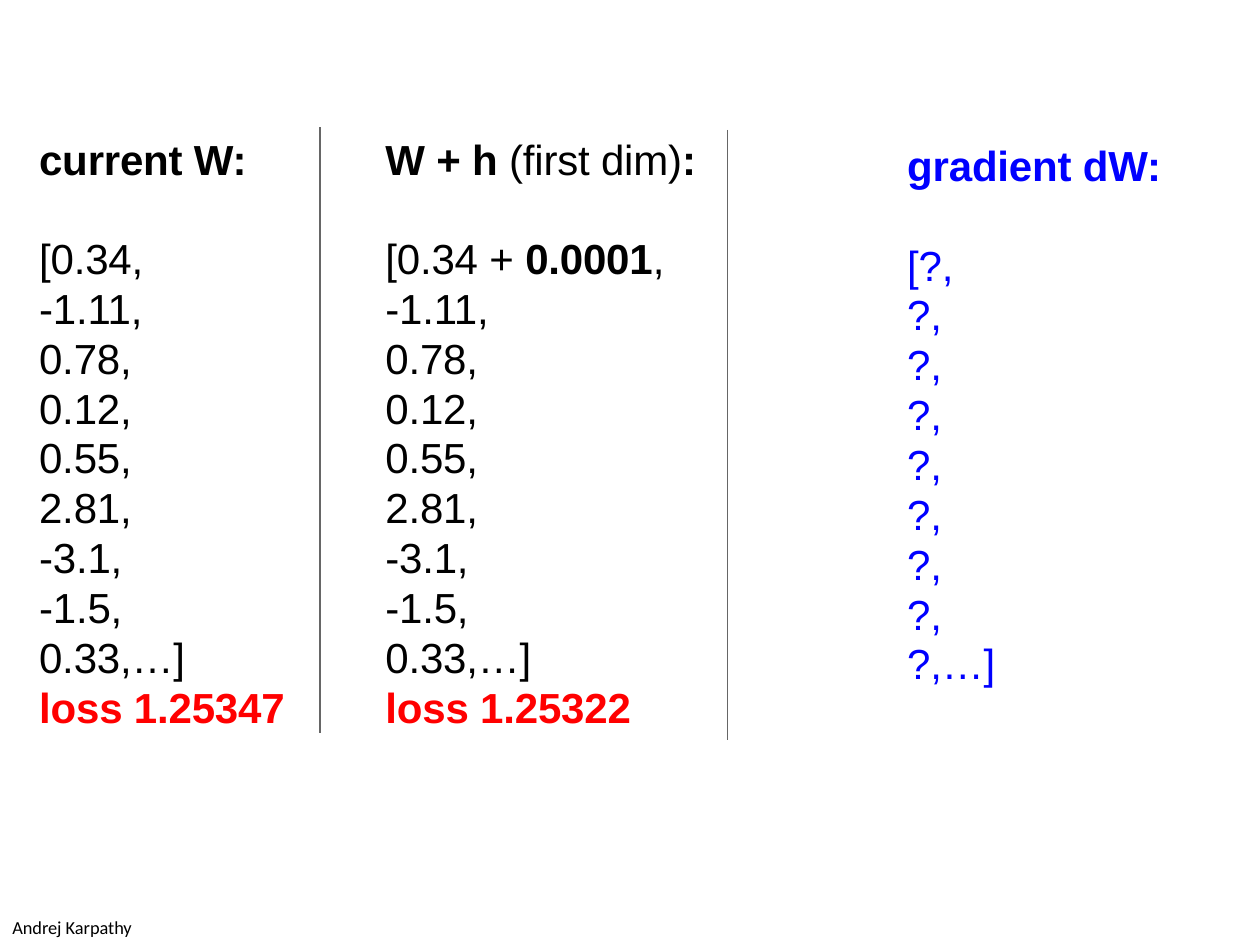
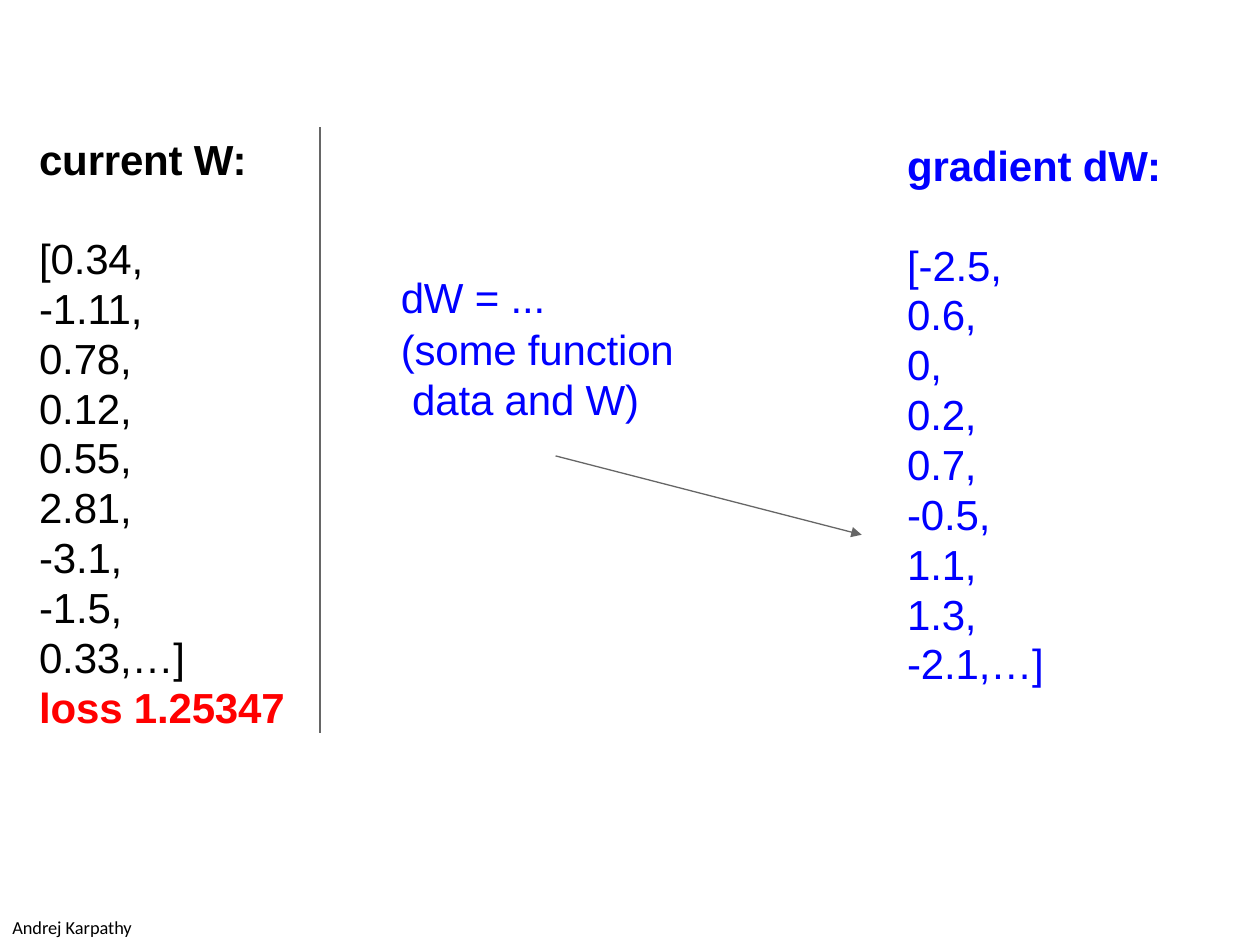
import lxml.etree
import pptx
import pptx.dml.color
import pptx.enum.shapes
import pptx.oxml.ns
import pptx.util
from pptx.util import Cm, Pt

BLACK = pptx.dml.color.RGBColor(0x00, 0x00, 0x00)
RED = pptx.dml.color.RGBColor(0xFF, 0x00, 0x00)
BLUE = pptx.dml.color.RGBColor(0x00, 0x00, 0xFF)
GRAY = pptx.dml.color.RGBColor(0x66, 0x66, 0x66)

HEAD_TOP, HEAD_HEIGHT, VALUES_DROP = 2.69, 1.04, 2.01
LINE_PITCH = 28.5
LEFT_W, LEFT_H, LEFT_GRADIENT = 0.79, 7.77, 18.29
GRADIENT_TOP = 2.82

WEIGHTS = ["-1.11,", "0.78,", "0.12,", "0.55,", "2.81,", "-3.1,", "-1.5,", "0.33,…]"]
UNKNOWN = ["[?,"] + ["?,"] * 7 + ["?,…]"]
GRADIENT = ["[-2.5,", "0.6,", "0,", "0.2,", "0.7,", "-0.5,", "1.1,", "1.3,", "-2.1,…]"]


def add_text(s, left, top, width, height, lines, color, bold=False,
             pitch=None, size=24, font="Arial", tracking="-10"):
    tf = s.shapes.add_textbox(Cm(left), Cm(top), Cm(width), Cm(height)).text_frame
    tf.word_wrap = True
    tf.margin_left = tf.margin_top = tf.margin_right = tf.margin_bottom = 0
    for i, line in enumerate(lines):
        p = tf.add_paragraph() if i else tf.paragraphs[0]
        p.font.name = font
        p.font.size = Pt(size)
        if pitch:
            p.line_spacing = Pt(pitch)
        for text, run_bold in [(line, bold)] if isinstance(line, str) else line:
            r = p.add_run()
            r.text = text
            r.font.bold = run_bold
            r.font.color.rgb = RED if text.startswith("loss") else color
            r.font.name = font
            r.font.size = Pt(size)
            r._r.get_or_add_rPr().set("spc", tracking)
    return tf


def add_line(s, x1, y1, x2, y2):
    sp = s.shapes.add_connector(pptx.enum.shapes.MSO_CONNECTOR.STRAIGHT,
                                Cm(x1), Cm(y1), Cm(x2), Cm(y2))
    sp.line.color.rgb = GRAY
    sp.line.width = Pt(0.75)
    lxml.etree.SubElement(sp._element.spPr, pptx.oxml.ns.qn("a:effectLst"))
    return sp


prs = pptx.Presentation()
prs.slide_width, prs.slide_height = Cm(25.4), Cm(19.05)

for gradient in (UNKNOWN, GRADIENT):
    s = prs.slides.add_slide(prs.slide_layouts[6])
    columns = [
        (LEFT_W, HEAD_TOP, 5.4, "current W:",
         ["[0.34,"] + WEIGHTS + [[("loss 1.25347", True)]], BLACK),
        (LEFT_GRADIENT, GRADIENT_TOP, 5.6, "gradient dW:", gradient, BLUE),
    ]
    if gradient is UNKNOWN:
        columns.append(
            (LEFT_H, HEAD_TOP, 6.8,
             [("W + h ", True), ("(first dim)", False), (":", True)],
             [[("[0.34 + ", False), ("0.0001", True), (",", False)]]
             + WEIGHTS + [[("loss 1.25322", True)]], BLACK))
    for left, top, width, heading, values, color in columns:
        add_text(s, left, top, width, HEAD_HEIGHT, [heading], color, bold=True)
        add_text(s, left, top + VALUES_DROP, width, len(values) * Pt(LINE_PITCH).cm,
                 values, color, pitch=LINE_PITCH)
    add_line(s, 6.45, 2.57, 6.45, 14.78)
    add_text(s, 0.25, 18.47, 3, 0.45, ["Andrej Karpathy"], BLACK,
             size=10.5, font="Calibri", tracking="0")

add_line(prs.slides[0], 14.66, 2.62, 14.66, 14.91)

s = prs.slides[1]
tf = add_text(s, 8.08, 5.49, 5.7, 3.12, ["dW = ...", "(some function", " data and W)"],
              BLUE, pitch=LINE_PITCH)
tf.paragraphs[1].space_before = Pt(1.1)
arrow = add_line(s, 11.2, 9.19, 17.37, 10.78)
ln = arrow._element.spPr.find(pptx.oxml.ns.qn("a:ln"))
lxml.etree.SubElement(ln, pptx.oxml.ns.qn("a:tailEnd"), type="triangle")

prs.save("out.pptx")
